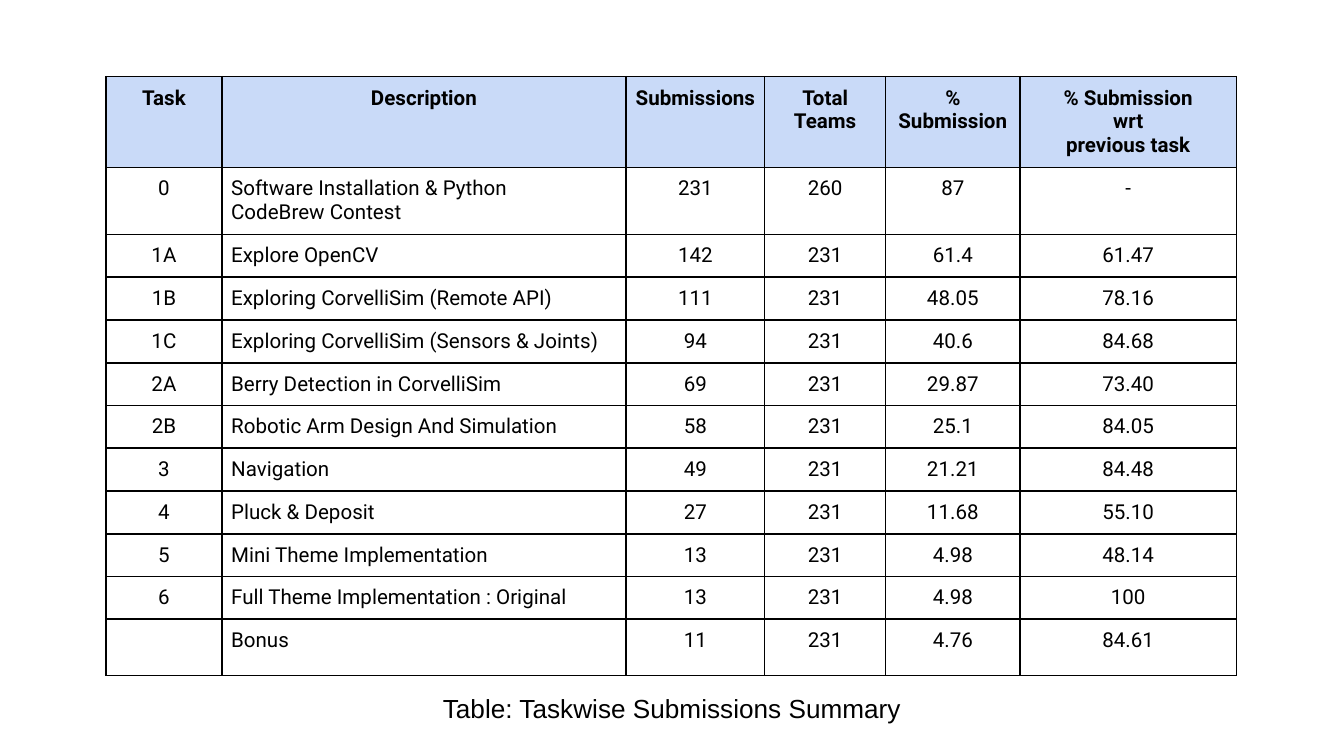
from lxml import etree
from pptx import Presentation
from pptx.dml.color import RGBColor
from pptx.enum.text import MSO_AUTO_SIZE, PP_ALIGN
from pptx.oxml.ns import qn
from pptx.util import Inches, Pt

CENTER = PP_ALIGN.CENTER
LEFT = PP_ALIGN.LEFT
FIT_SHAPE = MSO_AUTO_SIZE.SHAPE_TO_FIT_TEXT
BLACK = RGBColor(0x00, 0x00, 0x00)
HEADER_BLUE = RGBColor(0xC9, 0xDA, 0xF8)

COLUMN_WIDTHS = [0.86, 3.01, 1.03, 0.9, 1, 1.61]
ROW_HEIGHTS = [0.67, 0.5] + [0.31] * 9 + [0.42]
DESCRIPTION_COLUMN = 1
ROWS = [
    ["Task", "Description", "Submissions", "Total Teams", "% Submission",
     "% Submission\vwrt\vprevious task"],
    ["0", "Software Installation & Python\vCodeBrew Contest", "231", "260", "87", "-"],
    ["1A", "Explore OpenCV", "142", "231", "61.4", "61.47"],
    ["1B", "Exploring CorvelliSim (Remote API)", "111", "231", "48.05", "78.16"],
    ["1C", "Exploring CorvelliSim (Sensors & Joints)", "94", "231", "40.6", "84.68"],
    ["2A", "Berry Detection in CorvelliSim", "69", "231", "29.87", "73.40"],
    ["2B", "Robotic Arm Design And Simulation", "58", "231", "25.1", "84.05"],
    ["3", "Navigation", "49", "231", "21.21", "84.48"],
    ["4", "Pluck & Deposit", "27", "231", "11.68", "55.10"],
    ["5", "Mini Theme Implementation", "13", "231", "4.98", "48.14"],
    ["6", "Full Theme Implementation : Original", "13", "231", "4.98", "100"],
    ["", "Bonus", "11", "231", "4.76", "84.61"],
]


def format_paragraph(paragraph, alignment, font_name, size, bold=False):
    """Align a paragraph and set the font of its runs and its end mark."""
    paragraph.alignment = alignment
    for run in paragraph.runs:
        run.font.name = font_name
        run.font.size = Pt(size)
        run.font.bold = bold
        run.font.color.rgb = BLACK
    etree.SubElement(paragraph._p, qn("a:endParaRPr"), sz=str(size * 100))


def add_cell_borders(cell):
    """Draw a thin black line on all four sides of a cell."""
    properties = cell._tc.get_or_add_tcPr()
    for index, side in enumerate(("a:lnL", "a:lnR", "a:lnT", "a:lnB")):
        line = etree.Element(qn(side), w=str(Pt(1)))
        fill = etree.SubElement(line, qn("a:solidFill"))
        etree.SubElement(fill, qn("a:srgbClr"), val=str(BLACK))
        properties.insert(index, line)


def format_cell(cell, text, is_header, alignment):
    """Fill one table cell with text, margins, fill and borders."""
    cell.text_frame.text = text
    cell.margin_left = cell.margin_right = Inches(0.07)
    cell.margin_top = cell.margin_bottom = Inches(0.07)
    format_paragraph(cell.text_frame.paragraphs[0], alignment, "Roboto", 11, is_header)
    if is_header:
        cell.fill.solid()
        cell.fill.fore_color.rgb = HEADER_BLUE
    else:
        cell.fill.background()
    add_cell_borders(cell)


def add_submissions_table(slide, left, top):
    """Add the table of submissions per task."""
    shape = slide.shapes.add_table(
        len(ROWS), len(COLUMN_WIDTHS), Inches(left), Inches(top),
        Inches(sum(COLUMN_WIDTHS)), Inches(sum(ROW_HEIGHTS)))
    table = shape.table
    table.horz_banding = False
    table.first_row = False
    for column, width in zip(table.columns, COLUMN_WIDTHS):
        column.width = Inches(width)
    for row_index, (row, height) in enumerate(zip(table.rows, ROW_HEIGHTS)):
        row.height = Inches(height)
        is_header = row_index == 0
        for column_index, cell in enumerate(row.cells):
            is_description = column_index == DESCRIPTION_COLUMN and not is_header
            format_cell(cell, ROWS[row_index][column_index], is_header,
                        LEFT if is_description else CENTER)


def add_caption(slide, left, top, width, height):
    """Add the centred caption below the table."""
    box = slide.shapes.add_textbox(
        Inches(left), Inches(top), Inches(width), Inches(height))
    frame = box.text_frame
    frame.word_wrap = True
    frame.auto_size = FIT_SHAPE
    frame.margin_left = frame.margin_right = Inches(0.1)
    frame.margin_top = frame.margin_bottom = Inches(0.1)
    frame.text = "Table: Taskwise Submissions Summary"
    format_paragraph(frame.paragraphs[0], CENTER, "Arial", 14)


def main():
    """Build the slide and save it."""
    presentation = Presentation()
    presentation.slide_width = Inches(10)
    presentation.slide_height = presentation.slide_width * 9 // 16
    slide = presentation.slides.add_slide(presentation.slide_layouts[6])
    add_submissions_table(slide, 0.79, 0.57)
    add_caption(slide, 3.11, 5.05, 3.78, 0.44)
    presentation.save("out.pptx")


if __name__ == "__main__":
    main()
